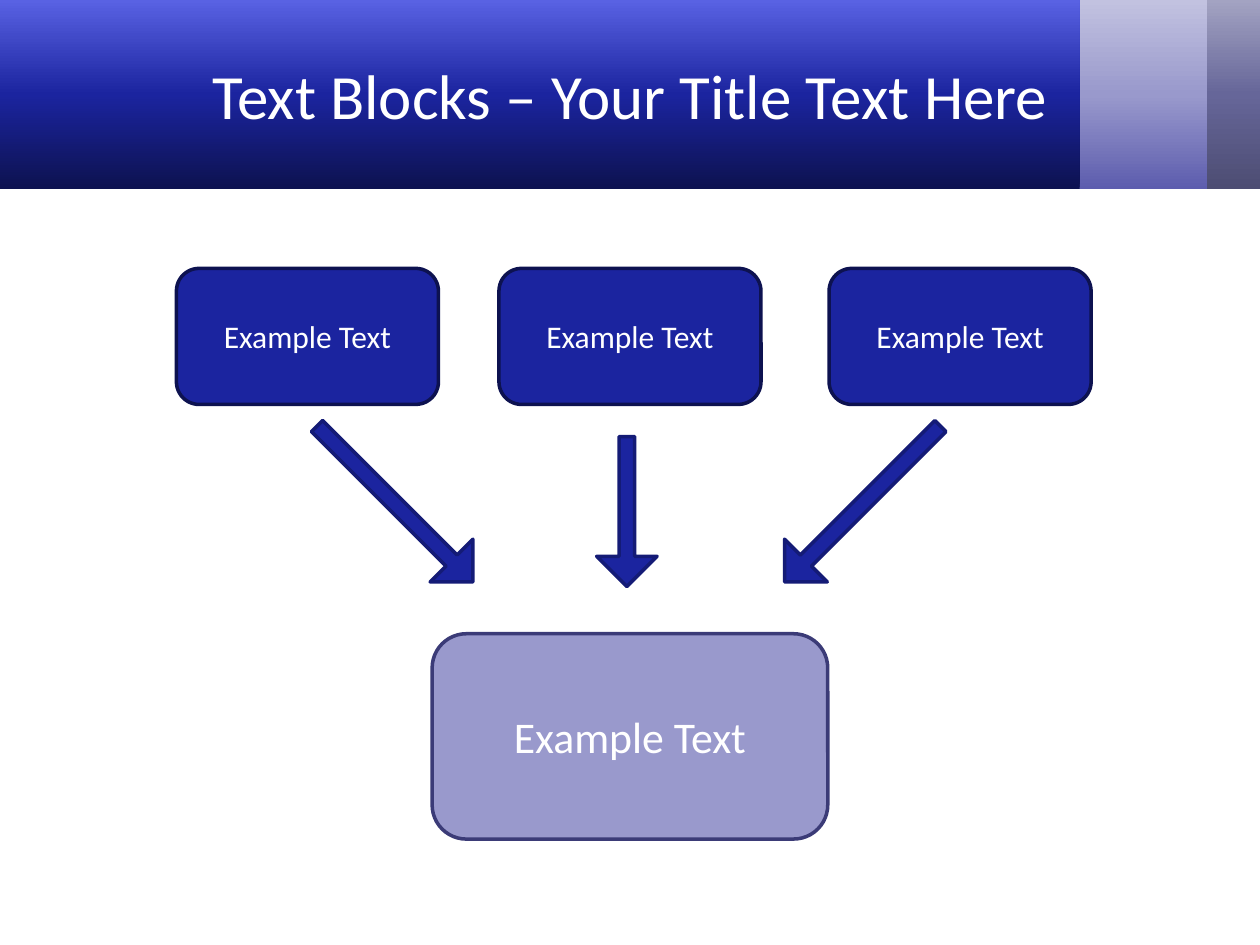
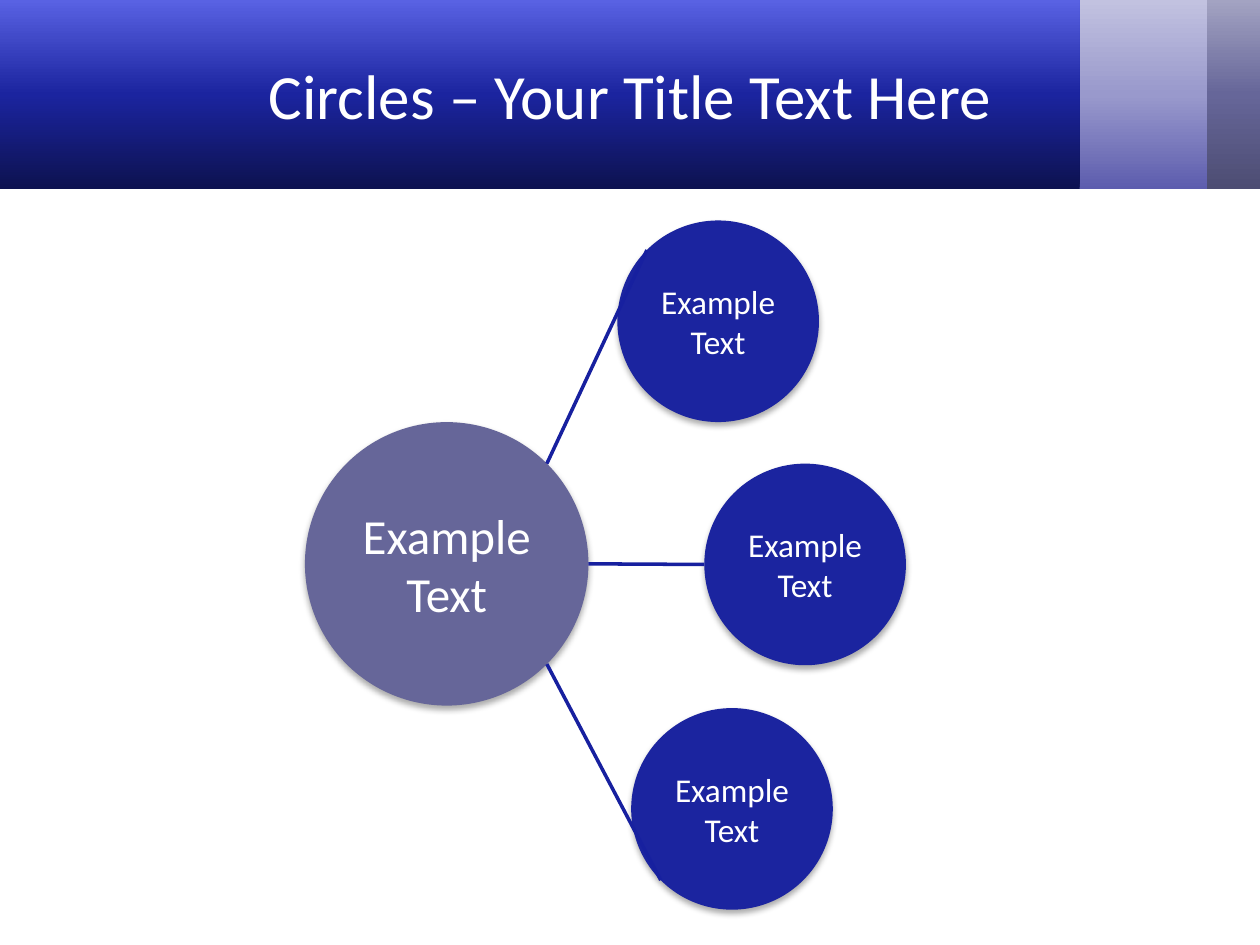
from math import cos, radians, sin

from lxml.etree import SubElement
from pptx import Presentation
from pptx.dml.color import RGBColor
from pptx.enum.shapes import MSO_CONNECTOR as Connector, MSO_SHAPE as Shape
from pptx.enum.text import MSO_ANCHOR as Anchor, PP_ALIGN as Align
from pptx.oxml.ns import qn
from pptx.util import Inches, Pt

FONT = "Calibri"
WHITE = "FFFFFF"
BLUE = "1B249F"
NAVY = "0D1250"
ARROW_EDGE = "141B76"
SPOKE = "17209F"
LAVENDER = "9999CC"
LAVENDER_EDGE = "3B3B77"
SLATE = "666699"
LABEL = "Example Text"
BAND_HEIGHT = 1.5
BANDS = [
    (9.43, 0.58, ("4D4D73", SLATE, "A3A3C2")),
    (8.53, 1.05, ("5D5DAE", LAVENDER, "C2C2E0")),
    (0, 8.57, (NAVY, BLUE, "5962E3")),
]


def color(hex_value):
    return RGBColor.from_string(hex_value)


def write(frame, text, size):
    frame.text = text
    frame.word_wrap = True
    frame.vertical_anchor = Anchor.MIDDLE
    paragraph = frame.paragraphs[0]
    paragraph.alignment = Align.CENTER
    paragraph.font.name = FONT
    paragraph.font.size = Pt(size)
    paragraph.font.color.rgb = color(WHITE)


def add_block(slide, kind, box, fill, edge=None):
    block = slide.shapes.add_shape(kind, *map(Inches, box))
    block.shadow.inherit = False
    block.fill.solid()
    block.fill.fore_color.rgb = color(fill)
    if edge:
        block.line.color.rgb = color(edge)
        block.line.width = Pt(2)
    else:
        block.line.fill.background()
    return block


def shade(band, hex_values):
    band.fill.gradient()
    band.fill.gradient_angle = 90
    stops = band.element.spPr.find(qn("a:gradFill")).find(qn("a:gsLst"))
    for stop in list(stops):
        stops.remove(stop)
    for position, hex_value in zip((0, 50000, 100000), hex_values):
        stop = SubElement(stops, qn("a:gs"), pos=str(position))
        SubElement(stop, qn("a:srgbClr"), val=hex_value)


def add_bands(master, slide):
    tree = master.shapes.element
    for order, (left, width, hex_values) in enumerate(BANDS):
        band = add_block(slide, Shape.RECTANGLE, (left, 0, width, BAND_HEIGHT), BLUE)
        shade(band, hex_values)
        band.element.nvSpPr.cNvPr.set("id", str(100 + order))
        tree.insert(2 + order, band.element)


def add_titled_slide(prs, heading):
    slide = prs.slides.add_slide(prs.slide_layouts[5])
    title = slide.shapes.title
    title.left, title.top = Inches(0.5), Inches(0.08)
    title.width, title.height = Inches(9), Inches(1.33)
    write(title.text_frame, heading, 36)
    return slide


def add_text_blocks(slide, left, top):
    for x in (0, 2.56, 5.18):
        source = add_block(slide, Shape.ROUNDED_RECTANGLE,
                           (left + x, top, 2.08, 1.08), BLUE, NAVY)
        write(source.text_frame, LABEL, 18)
    for x, y, length, angle in ((0.86, 1.63, 1.75, 45),
                                (4.57, 1.63, 1.75, 135),
                                (2.98, 1.69, 1.19, 90)):
        arrow = add_block(slide, Shape.RIGHT_ARROW,
                          (left + x, top + y, length, 0.48), BLUE, ARROW_EDGE)
        arrow.adjustments[0] = 0.26
        arrow.rotation = angle
    result = add_block(slide, Shape.ROUNDED_RECTANGLE,
                       (left + 2.03, top + 2.9, 3.14, 1.63), LAVENDER, LAVENDER_EDGE)
    write(result.text_frame, LABEL, 25)


def add_circle(slide, left, top, diameter, fill, size):
    circle = add_block(slide, Shape.OVAL, (left, top, diameter, diameter), fill)
    effects = circle.element.spPr.find(qn("a:effectLst"))
    shadow = SubElement(effects, qn("a:outerShdw"), blurRad=str(Pt(3.5)),
                        dist=str(Pt(2.2)), dir="5400000", rotWithShape="0")
    tint = SubElement(shadow, qn("a:srgbClr"), val="000000")
    SubElement(tint, qn("a:alpha"), val="32000")
    frame = circle.text_frame
    frame.margin_left = frame.margin_right = 0
    write(frame, LABEL, size)


def rim_point(left, top, diameter, angle):
    radius = diameter / 2
    return (Inches(left + radius + radius * cos(radians(angle))),
            Inches(top + radius + radius * sin(radians(angle))))


def add_spoke(slide, start, end):
    spoke = slide.shapes.add_connector(Connector.STRAIGHT, *start, *end)
    spoke.line.color.rgb = color(SPOKE)
    spoke.line.width = Pt(2)
    SubElement(spoke.element.spPr, qn("a:effectLst"))


def add_circles(slide, left, top):
    hub = (left, top + 1.6, 2.25)
    satellites = [(left + x, top + y, 1.6)
                  for x, y in ((2.48, 0), (3.17, 1.93), (2.59, 3.87))]
    add_circle(slide, *hub, SLATE, 28)
    for satellite in satellites:
        add_circle(slide, *satellite, BLUE, 19)
    for satellite, angle in zip(satellites, (-45, 0, 45)):
        add_spoke(slide, rim_point(*hub, angle), rim_point(*satellite, 180 - angle))


def main():
    prs = Presentation()
    prs.slide_width, prs.slide_height = Inches(10), Inches(7.5)
    blocks_slide = add_titled_slide(prs, "Text Blocks – Your Title Text Here")
    add_bands(prs.slide_master, blocks_slide)
    add_text_blocks(blocks_slide, 1.4, 2.13)
    circles_slide = add_titled_slide(prs, "Circles – Your Title Text Here")
    add_circles(circles_slide, 2.42, 1.75)
    prs.save("out.pptx")


if __name__ == "__main__":
    main()
